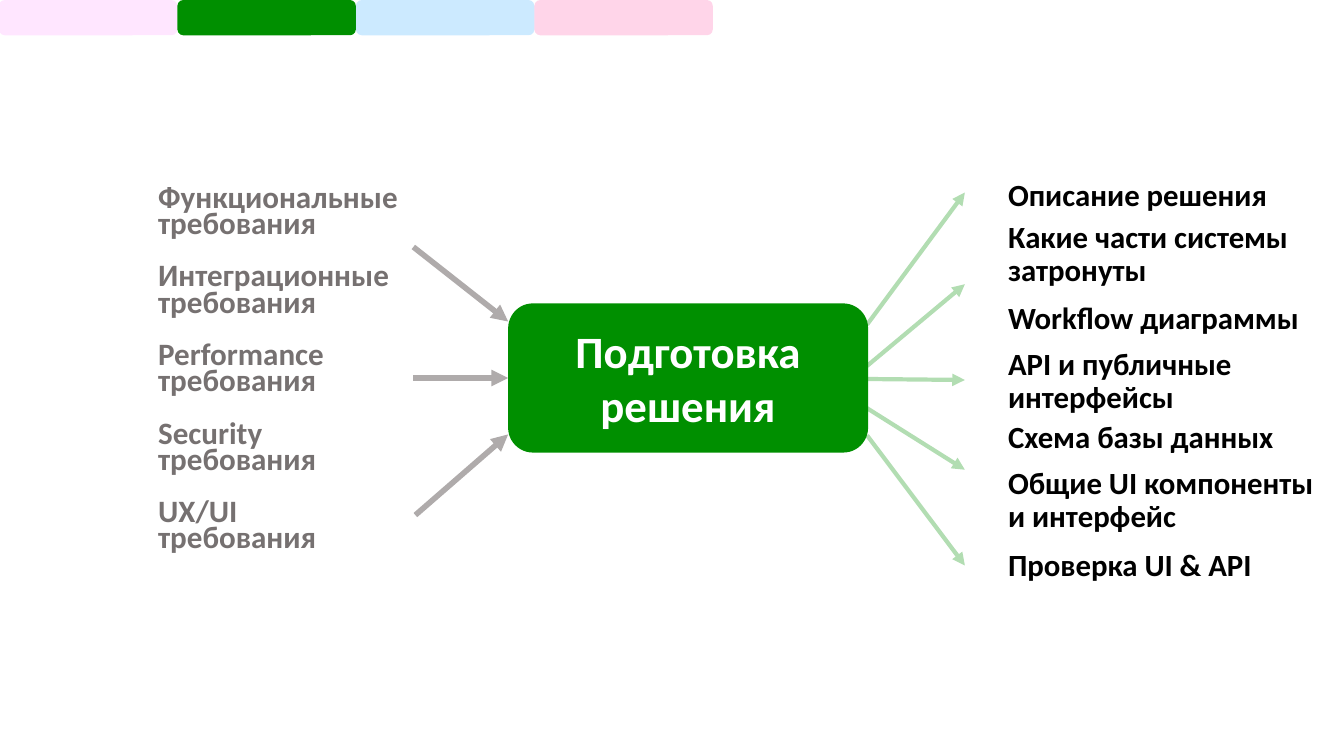
from dataclasses import dataclass

from lxml.etree import SubElement
from pptx import Presentation
from pptx.dml.color import RGBColor
from pptx.enum.shapes import MSO_CONNECTOR as Connector, MSO_SHAPE as Preset
from pptx.enum.text import MSO_ANCHOR as Anchor, PP_ALIGN as Align
from pptx.oxml.ns import qn
from pptx.shapes.autoshape import Shape
from pptx.slide import Slide
from pptx.util import Inches, Pt

COLORS = {
    "green": "008F00",
    "white": "FFFFFF",
    "black": "000000",
    "gray": "767171",
    "arrow_gray": "AFABAB",
    "violet": "FF85FF",
    "blue": "0096FF",
    "pink": "FF2F92",
}


@dataclass
class Box:
    left: float
    top: float
    width: float
    height: float
    color: str
    opacity: int = 100


@dataclass
class Label:
    text: str
    left: float
    top: float
    width: float
    height: float
    color: str
    size: float
    spacing: float


@dataclass
class Arrow:
    x1: float
    y1: float
    x2: float
    y2: float
    color: str
    weight: float
    opacity: int = 100


def rgb(name: str) -> RGBColor:
    return RGBColor.from_string(COLORS[name])


def set_opacity(properties, percent: int) -> None:
    if percent < 100:
        for color in properties.iter(qn("a:srgbClr")):
            SubElement(color, qn("a:alpha"), val=str(percent * 1000))


def write_text(paragraph, text: str, size: float, color: str) -> None:
    paragraph.text = text
    paragraph.font.name = "Calibri"
    paragraph.font.size = Pt(size)
    paragraph.font.bold = True
    paragraph.font.color.rgb = rgb(color)


def draw_box(slide: Slide, box: Box) -> Shape:
    shape = slide.shapes.add_shape(
        Preset.ROUNDED_RECTANGLE,
        Inches(box.left), Inches(box.top), Inches(box.width), Inches(box.height),
    )
    shape.shadow.inherit = False
    shape.fill.solid()
    shape.fill.fore_color.rgb = rgb(box.color)
    shape.line.fill.background()
    set_opacity(shape._element.spPr, box.opacity)
    return shape


def draw_label(slide: Slide, label: Label) -> None:
    frame = slide.shapes.add_textbox(
        Inches(label.left), Inches(label.top), Inches(label.width), Inches(label.height)
    ).text_frame
    frame.word_wrap = True
    paragraph = frame.paragraphs[0]
    paragraph.line_spacing = label.spacing
    paragraph.space_after = Pt(6)
    write_text(paragraph, label.text, label.size, label.color)


def draw_arrow(slide: Slide, arrow: Arrow) -> None:
    connector = slide.shapes.add_connector(
        Connector.STRAIGHT,
        Inches(arrow.x1), Inches(arrow.y1), Inches(arrow.x2), Inches(arrow.y2),
    )
    connector.line.width = Pt(arrow.weight)
    connector.line.color.rgb = rgb(arrow.color)
    properties = connector._element.spPr
    set_opacity(properties, arrow.opacity)
    SubElement(properties.find(qn("a:ln")), qn("a:tailEnd"), type="triangle")
    SubElement(properties, qn("a:effectLst"))


STAGE_TABS = [("violet", 20), ("green", 100), ("blue", 20), ("pink", 20)]
REQUIREMENTS = ["Функциональные", "Интеграционные", "Performance", "Security", "UX/UI"]
RESULTS = [
    ("Описание решения", 1.74, 0.37),
    ("Какие части системы\nзатронуты", 2.15, 0.74),
    ("Workflow диаграммы", 2.96, 0.42),
    ("API и публичные интерфейсы", 3.41, 0.74),
    ("Схема базы данных", 4.14, 0.41),
    ("Общие UI компоненты\nи интерфейс", 4.59, 0.74),
    ("Проверка UI & API", 5.41, 0.39),
]
INPUT_ARROWS = [(4.1, 2.45, 3.19), (4.1, 3.75, 3.75), (4.12, 5.11, 4.31)]
OUTPUT_ARROWS = [(3.22, 1.91), (3.63, 2.82), (3.76, 3.77), (4.05, 4.66), (4.32, 5.61)]


def main() -> None:
    presentation = Presentation()
    presentation.slide_width = Inches(13.33)
    presentation.slide_height = Inches(7.5)
    slide = presentation.slides.add_slide(presentation.slide_layouts[6])

    solution = draw_box(slide, Box(5.04, 3.01, 3.57, 1.48, "green")).text_frame
    solution.word_wrap = True
    solution.vertical_anchor = Anchor.MIDDLE
    solution.paragraphs[0].alignment = Align.CENTER
    write_text(solution.paragraphs[0], "Подготовка решения", 32, "white")

    for x, start, end in INPUT_ARROWS:
        draw_arrow(slide, Arrow(x, start, 5.04, end, "arrow_gray", 4))

    for row, kind in enumerate(REQUIREMENTS):
        draw_label(slide, Label(f"{kind}\nтребования", 1.47, 1.81 + 0.78 * row,
                                2.82, 0.65, "gray", 22.2, 0.7))

    for column, (color, opacity) in enumerate(STAGE_TABS):
        draw_box(slide, Box(-0.01 + 1.77 * column, 0, 1.77, 0.35, color, opacity))

    for result, top, height in RESULTS:
        draw_label(slide, Label(result, 9.9, top, 3.24, height, "black", 22, 0.9))

    for start, end in OUTPUT_ARROWS:
        draw_arrow(slide, Arrow(8.6, start, 9.57, end, "green", 3, 30))

    presentation.save("out.pptx")


if __name__ == "__main__":
    main()
